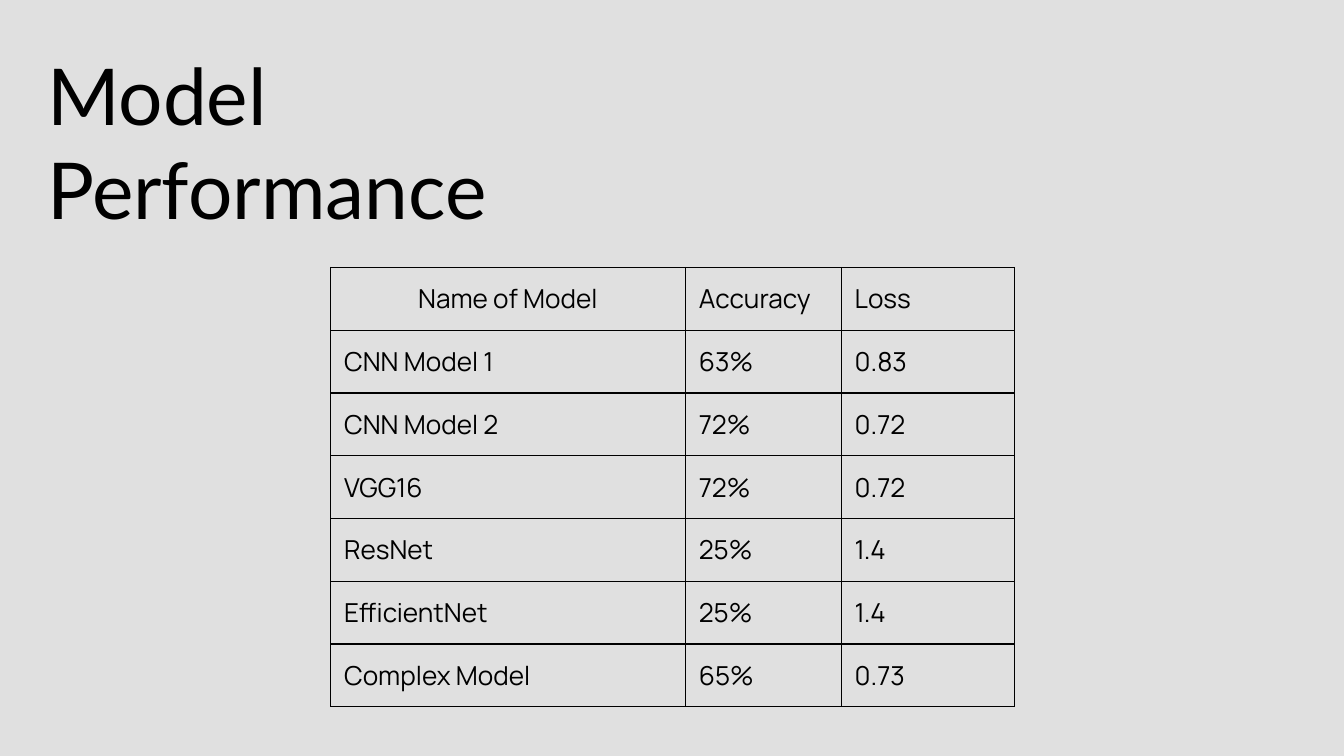
from lxml.etree import SubElement
from pptx import Presentation
from pptx.dml.color import RGBColor
from pptx.enum.text import MSO_ANCHOR, MSO_AUTO_SIZE, PP_ALIGN
from pptx.oxml.ns import qn
from pptx.util import Inches, Pt

BLACK = RGBColor(0x00, 0x00, 0x00)
GREY = RGBColor(0xE0, 0xE0, 0xE0)

ROWS = [
    ("Name of Model", "Accuracy", "Loss"),
    ("CNN Model 1", "63%", "0.83"),
    ("CNN Model 2", "72%", "0.72"),
    ("VGG16", "72%", "0.72"),
    ("ResNet", "25%", "1.4"),
    ("EfficientNet", "25%", "1.4"),
    ("Complex Model", "65%", "0.73"),
]
WIDTHS = (2.64, 1.16, 1.29)
HEIGHT = 0.42


class Deck:
    head_font = "Lato"
    body_font = "Manrope"
    pad = Inches(0.1)

    def __init__(self, slide):
        self.slide = slide
        fill = slide.background.fill
        fill.solid()
        fill.fore_color.rgb = GREY

    def style(self, frame, font, size, align):
        for para in frame.paragraphs:
            para.alignment = align
            for run in para.runs:
                run.font.name = font
                run.font.size = Pt(size)
                run.font.bold = False
                run.font.color.rgb = BLACK

    def inset(self, box):
        box.margin_left = box.margin_right = self.pad
        box.margin_top = box.margin_bottom = self.pad

    def title(self, text, left, top, width, height):
        shape = self.slide.shapes.title
        shape.left, shape.top = Inches(left), Inches(top)
        shape.width, shape.height = Inches(width), Inches(height)
        frame = shape.text_frame
        frame.text = text
        frame.word_wrap = True
        frame.auto_size = MSO_AUTO_SIZE.NONE
        frame.vertical_anchor = MSO_ANCHOR.MIDDLE
        self.inset(frame)
        self.style(frame, self.head_font, 42, PP_ALIGN.LEFT)

    def border(self, cell):
        props = cell._tc.get_or_add_tcPr()
        for side in ("lnL", "lnR", "lnT", "lnB"):
            line = SubElement(props, qn(f"a:{side}"), w=str(Pt(0.75)))
            fill = SubElement(line, qn("a:solidFill"))
            SubElement(fill, qn("a:srgbClr"), val=str(BLACK))

    def table(self, rows, widths, height, left, top):
        frame = self.slide.shapes.add_table(
            len(rows), len(widths), Inches(left), Inches(top),
            Inches(sum(widths)), Inches(height * len(rows)))
        table = frame.table
        table.first_row = table.horz_banding = False
        for col, width in zip(table.columns, widths):
            col.width = Inches(width)
        for i, row in enumerate(rows):
            table.rows[i].height = Inches(height)
            for j, text in enumerate(row):
                cell = table.cell(i, j)
                cell.text_frame.text = text
                self.inset(cell)
                self.border(cell)
                cell.fill.background()
                align = PP_ALIGN.CENTER if i == j == 0 else PP_ALIGN.LEFT
                self.style(cell.text_frame, self.body_font, 14, align)


def main():
    show = Presentation()
    show.slide_width = Inches(10)
    show.slide_height = show.slide_width * 9 // 16
    deck = Deck(show.slides.add_slide(show.slide_layouts[5]))
    deck.title("Model Performance", 0.25, 0.24, 3.86, 1.62)
    deck.table(ROWS, WIDTHS, HEIGHT, 2.46, 1.99)
    show.save("out.pptx")


if __name__ == "__main__":
    main()
